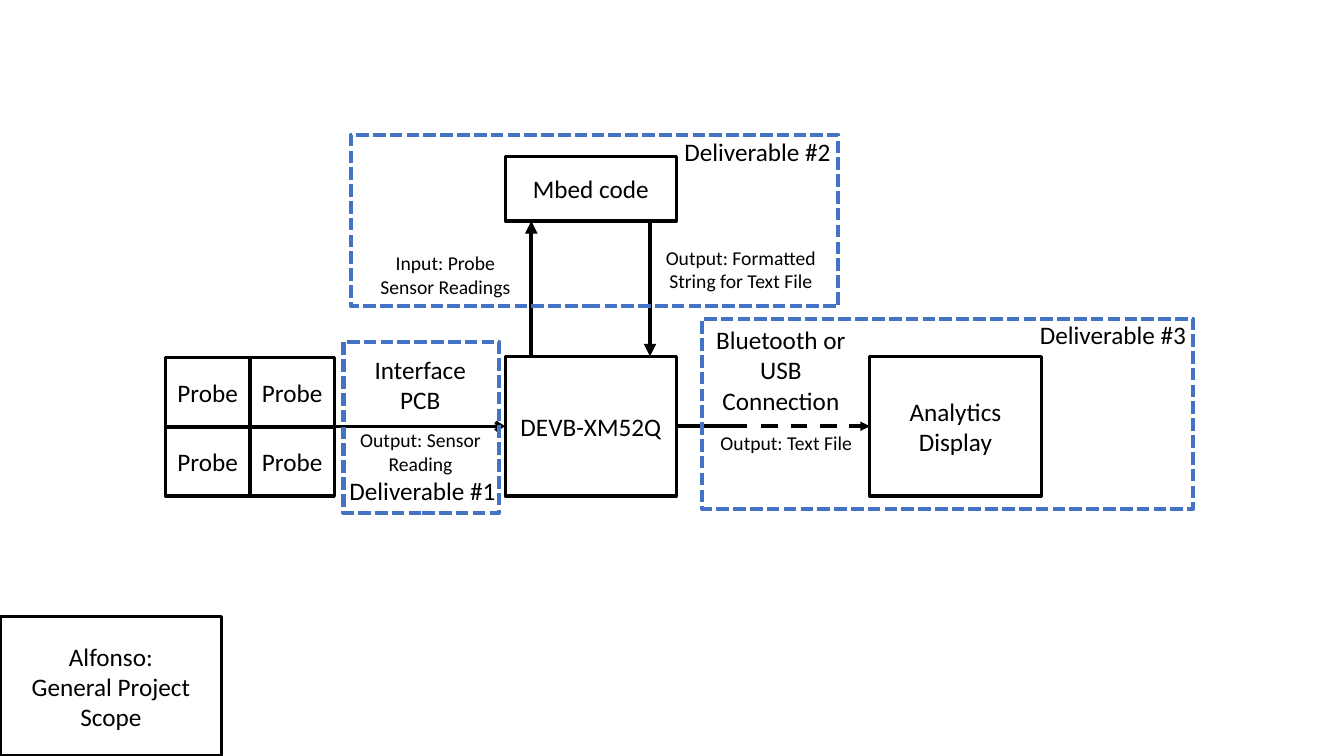
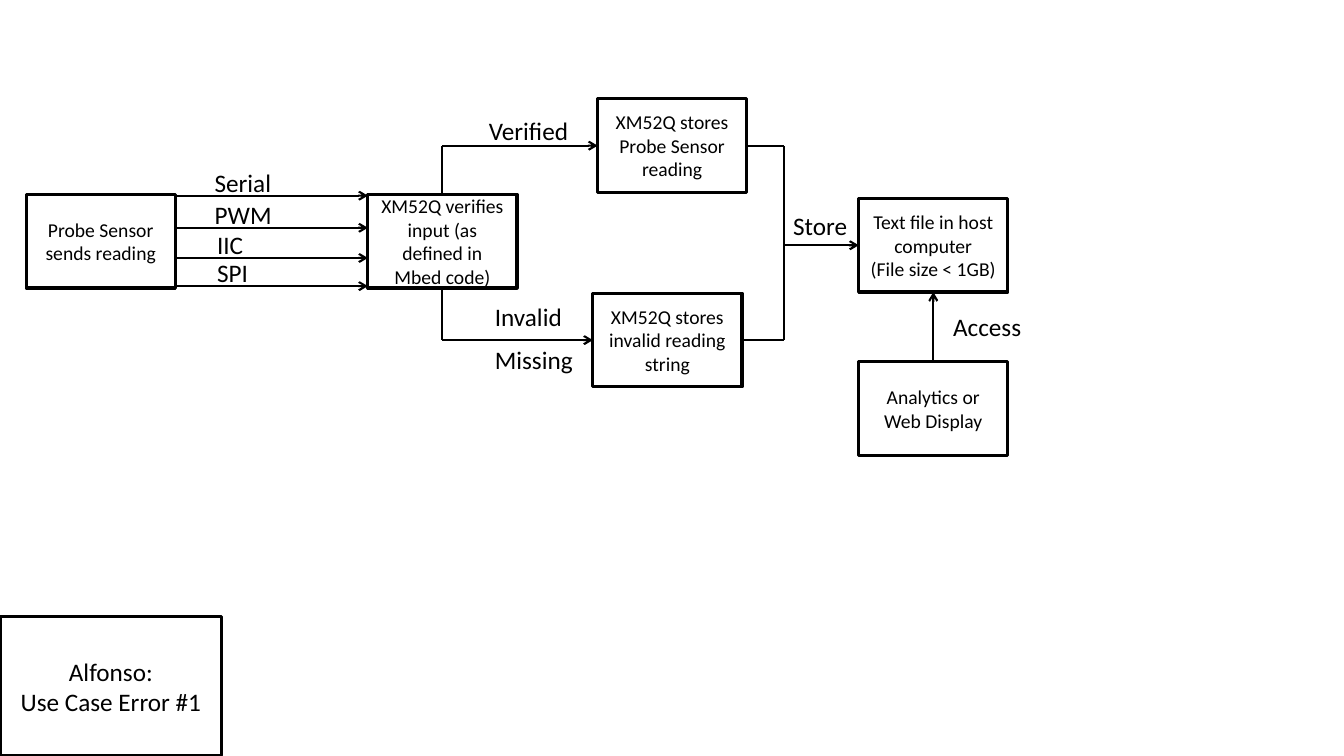
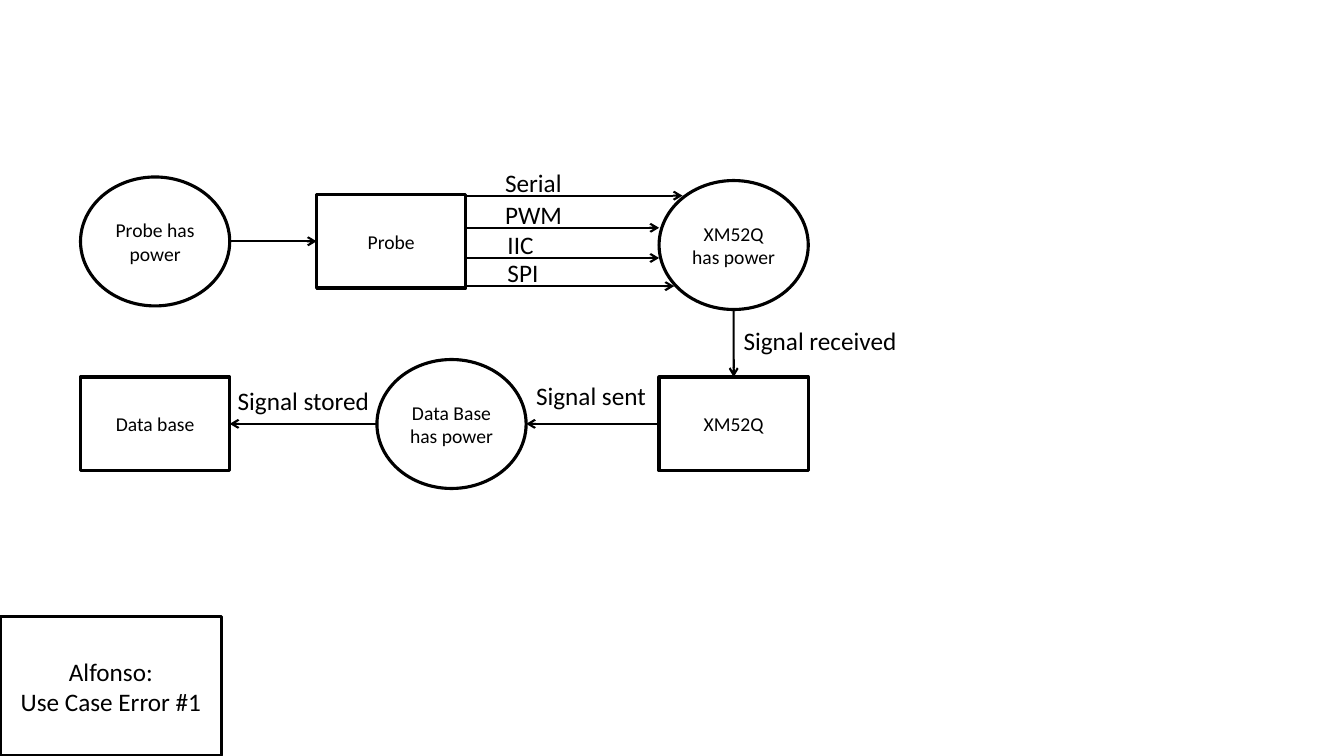
import lxml.etree
import pptx
import pptx.dml.color
import pptx.enum.dml
import pptx.enum.shapes
import pptx.enum.text
import pptx.oxml.ns
import pptx.util

Cm = pptx.util.Cm
Pt = pptx.util.Pt
qn = pptx.oxml.ns.qn
rgb = pptx.dml.color.RGBColor.from_string
Dash = pptx.enum.dml.MSO_LINE
Align = pptx.enum.text.PP_ALIGN
RECT = pptx.enum.shapes.MSO_SHAPE.RECTANGLE
OVAL = pptx.enum.shapes.MSO_SHAPE.OVAL
STRAIGHT = pptx.enum.shapes.MSO_CONNECTOR.STRAIGHT

FONT = "Calibri"
BLACK = "000000"
WHITE = "FFFFFF"
BLUE = "4472C4"
BIG = 18
SMALL = 14
LABEL = 1.02


def box(slide, kind, left, top, width, height, text, size=SMALL, align=Align.CENTER):
    place = Cm(left), Cm(top), Cm(width), Cm(height)
    if kind is None:
        shape = slide.shapes.add_textbox(*place)
        shape.text_frame.word_wrap = False
    else:
        shape = slide.shapes.add_shape(kind, *place)
        shape.shadow.inherit = False
        shape.fill.solid()
        shape.fill.fore_color.rgb = rgb(WHITE)
        shape.line.color.rgb = rgb(BLACK)
        shape.line.width = Pt(2.25)
    shape.text_frame.text = text
    for para in shape.text_frame.paragraphs:
        para.alignment = align
        for run in para.runs:
            run.font.name = FONT
            run.font.size = Pt(size)
            run.font.color.rgb = rgb(BLACK)
    return shape


def link(slide, start, end, width=1.5, head="arrow", dash=None):
    points = [(0, 0) if hasattr(e[0], "shape_id") else e for e in (start, end)]
    line = slide.shapes.add_connector(STRAIGHT, *[Cm(v) for p in points for v in p])
    if hasattr(start[0], "shape_id"):
        line.begin_connect(*start)
    if hasattr(end[0], "shape_id"):
        line.end_connect(*end)
    line.line.color.rgb = rgb(BLACK)
    line.line.width = Pt(width)
    if dash:
        line.line.dash_style = dash
    props = line._element.spPr
    if head:
        lxml.etree.SubElement(props.find(qn("a:ln")), qn("a:tailEnd"), type=head)
    lxml.etree.SubElement(props, qn("a:effectLst"))


deck = pptx.Presentation()
deck.slide_width = Cm(33.87)
deck.slide_height = Cm(19.05)

slides = []
for title in ("General Project Scope", "Use Case Error #1", "Use Case Error #1"):
    slide = deck.slides.add_slide(deck.slide_layouts[6])
    box(slide, RECT, 0, 15.54, 5.59, 3.51, "Alfonso:\n" + title, BIG)
    slides.append(slide)
scope, store, power = slides

for row in range(2):
    for col in range(2):
        box(scope, RECT, 4.17 + col * 2.13, 9.02 + row * 1.74, 2.13, 1.74, "Probe", BIG)
board = box(scope, RECT, 12.73, 8.98, 4.32, 3.52, "DEVB-XM52Q", BIG)
screen = box(scope, RECT, 21.92, 8.98, 4.32, 3.52, "Analytics Display", BIG)
box(scope, RECT, 12.73, 3.94, 4.32, 1.63, "Mbed code", BIG)

link(scope, (8.43, 10.74), (board, 1), 2.25)
link(scope, (19.18, 10.74), (screen, 1), 3, None, Dash.DASH)
link(scope, (board, 3), (18.82, 10.74), 3, None)
link(scope, (21.39, 10.74), (screen, 1), 2.25, "triangle")
link(scope, (13.39, 8.98), (13.39, 5.57), 3, "triangle")
link(scope, (16.38, 5.57), (16.38, 8.98), 3, "triangle")

for left, top, width, height in (
    (8.84, 3.4, 12.29, 4.32),
    (8.66, 8.61, 3.91, 4.32),
    (17.7, 8.03, 12.37, 4.8),
):
    frame = box(scope, RECT, left, top, width, height, "")
    frame.fill.background()
    frame.line.color.rgb = rgb(BLUE)
    frame.line.width = Pt(3)
    frame.line.dash_style = Dash.SQUARE_DOT

for left, top, width, height, size, text in (
    (9.09, 8.81, 3, 1.8, BIG, "Interface\nPCB"),
    (17.7, 8.05, 3.96, 2.57, BIG, "Bluetooth or\nUSB\nConnection"),
    (16.97, 3.3, 4.24, LABEL, BIG, "Deliverable #2"),
    (8.53, 11.86, 4.24, LABEL, BIG, "Deliverable #1"),
    (25.93, 7.92, 4.24, LABEL, BIG, "Deliverable #3"),
    (9.32, 6.2, 3.81, 1.45, SMALL, "Input: Probe\nSensor Readings"),
    (15.95, 6.07, 5.44, 1.45, SMALL, "Output: Formatted\nString for Text File"),
    (8.81, 10.67, 3.58, 1.45, SMALL, "Output: Sensor\nReading"),
    (17.53, 10.74, 4.57, 0.86, SMALL, "Output: Text File"),
):
    box(scope, None, left, top, width, height, text, size)

WIDE, HIGH, ROUND = 3.76, 2.36, 3.25

box(store, RECT, 0.66, 4.9, WIDE, HIGH, "Probe Sensor sends reading")
check = box(store, RECT, 9.27, 4.9, WIDE, HIGH, "XM52Q verifies input (as defined in Mbed code)")
good = box(store, RECT, 15.06, 2.49, WIDE, HIGH, "XM52Q stores Probe Sensor reading")
bad = box(store, RECT, 14.94, 7.39, WIDE, HIGH, "XM52Q stores invalid reading string")
file = box(store, RECT, 21.64, 5, WIDE, HIGH, "Text file in host computer\n(File size < 1GB)")
web = box(store, RECT, 21.64, 9.12, WIDE, HIGH, "Analytics or Web Display")

for side, target, mid in ((0, good, 3.67), (2, bad, 8.57)):
    link(store, (check, side), (11.15, mid), head=None)
    link(store, (11.15, mid), (target, 1))
    link(store, (target, 3), (19.76, mid), head=None)
link(store, (19.76, 8.57), (19.76, 3.67), head=None)
link(store, (19.76, 6.18), (file, 1))
link(store, (web, 0), (file, 2))

box(power, OVAL, 2.03, 4.46, WIDE, ROUND, "Probe has power")
probe = box(power, RECT, 7.98, 4.9, WIDE, HIGH, "Probe")
box(power, OVAL, 16.61, 4.55, WIDE, ROUND, "XM52Q has power")
chip = box(power, RECT, 16.61, 9.5, WIDE, HIGH, "XM52Q")
box(power, OVAL, 9.5, 9.06, WIDE, ROUND, "Data Base has power")
base = box(power, RECT, 2.03, 9.5, WIDE, HIGH, "Data base")

link(power, (5.79, 6.08), (probe, 1))
link(power, (18.49, 7.8), (chip, 0))
link(power, (chip, 1), (13.26, 10.68))
link(power, (9.5, 10.68), (base, 3))

buses = (
    ("Serial", 4.93, 0.74, 1.96),
    ("PWM", 5.74, 0.74, 1.96),
    ("IIC", 6.5, 0.8, 1.17),
    ("SPI", 7.21, 0.8, 1.3),
)
for slide, start, ends in (
    (store, 4.42, (9.27, 9.27, 9.27, 9.27)),
    (power, 11.74, (17.2, 16.61, 16.61, 16.99)),
):
    for (name, high, shift, width), end in zip(buses, ends):
        link(slide, (start, high), (end, high))
        box(slide, None, start + shift, high - 0.84, width, LABEL, name, BIG, Align.LEFT)

for slide, left, top, width, text in (
    (store, 12.07, 2.79, 2.54, "Verified"),
    (store, 12.22, 7.47, 2.21, "Invalid"),
    (store, 12.22, 8.56, 2.49, "Missing"),
    (store, 19.74, 5.18, 1.88, "Store"),
    (store, 23.77, 7.72, 2.24, "Access"),
    (power, 18.49, 8.08, 4.42, "Signal received"),
    (power, 13.26, 9.47, 3.3, "Signal sent"),
    (power, 5.74, 9.58, 3.86, "Signal stored"),
):
    box(slide, None, left, top, width, LABEL, text, BIG, Align.LEFT)

deck.save("out.pptx")
